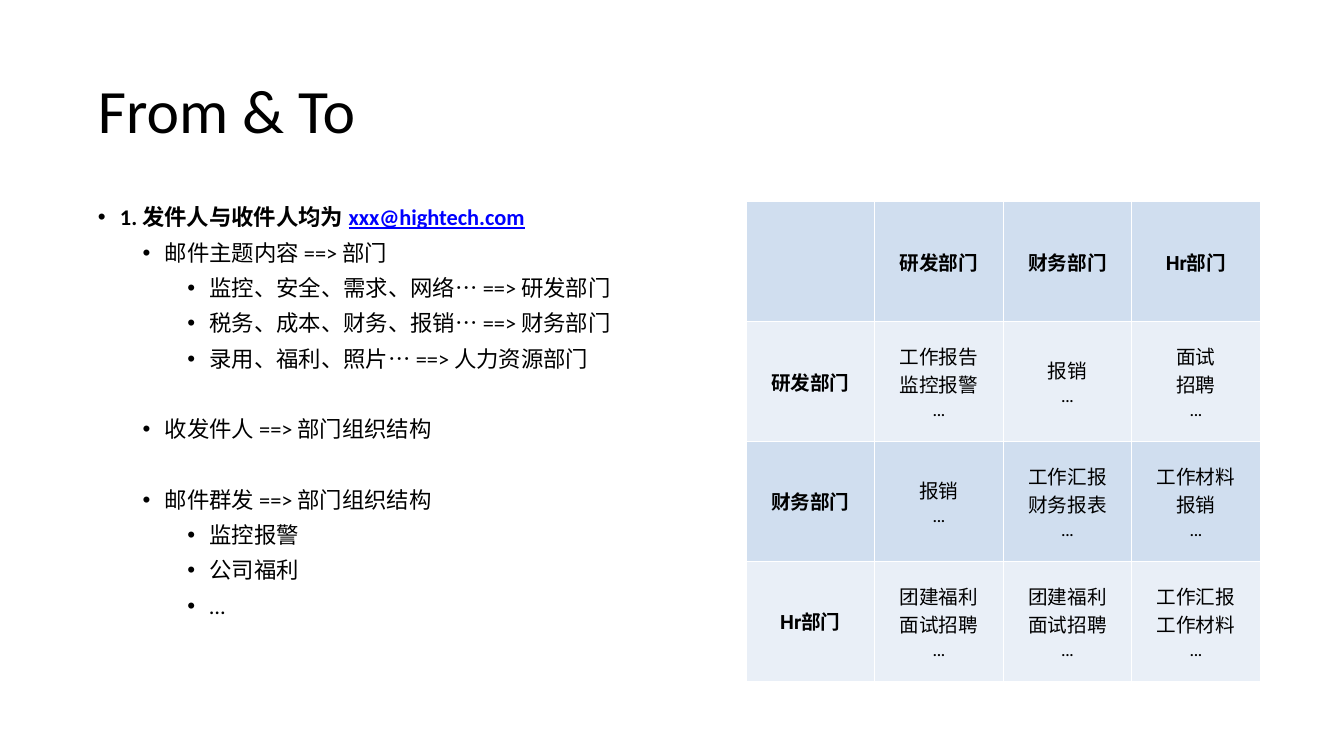
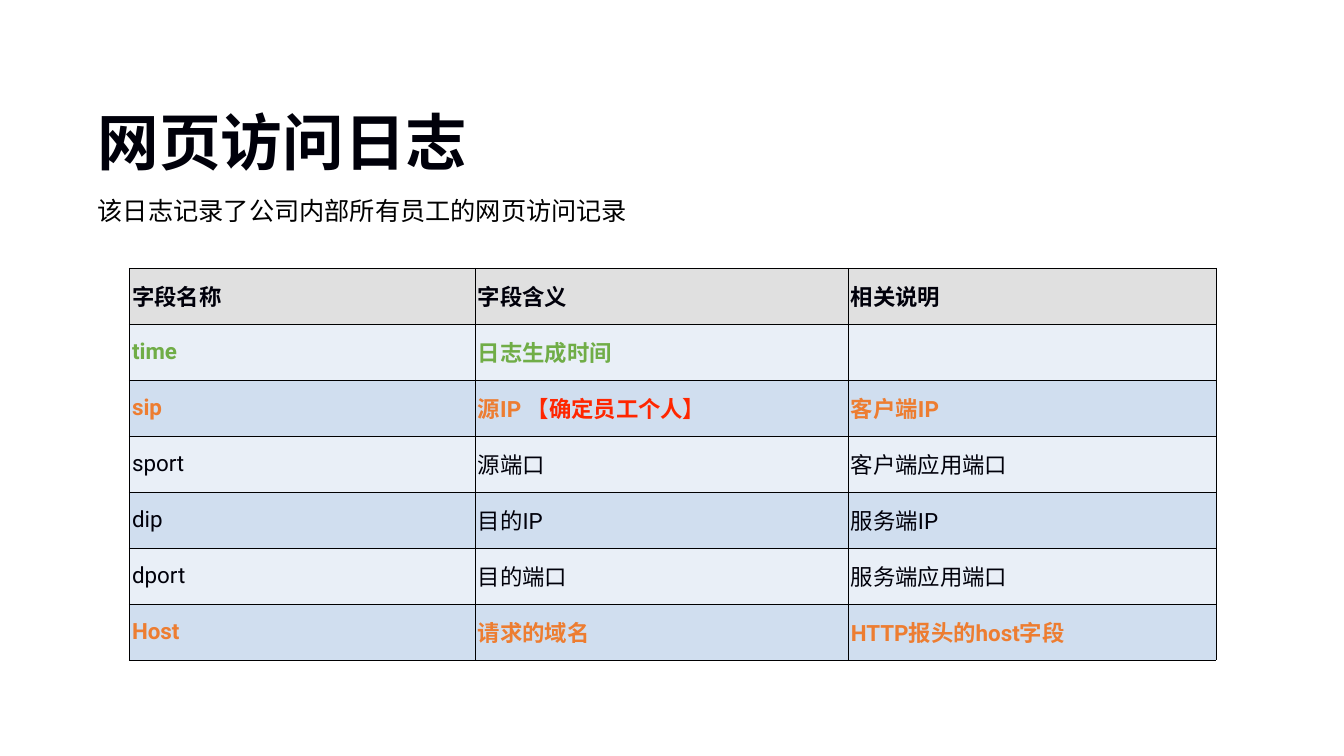
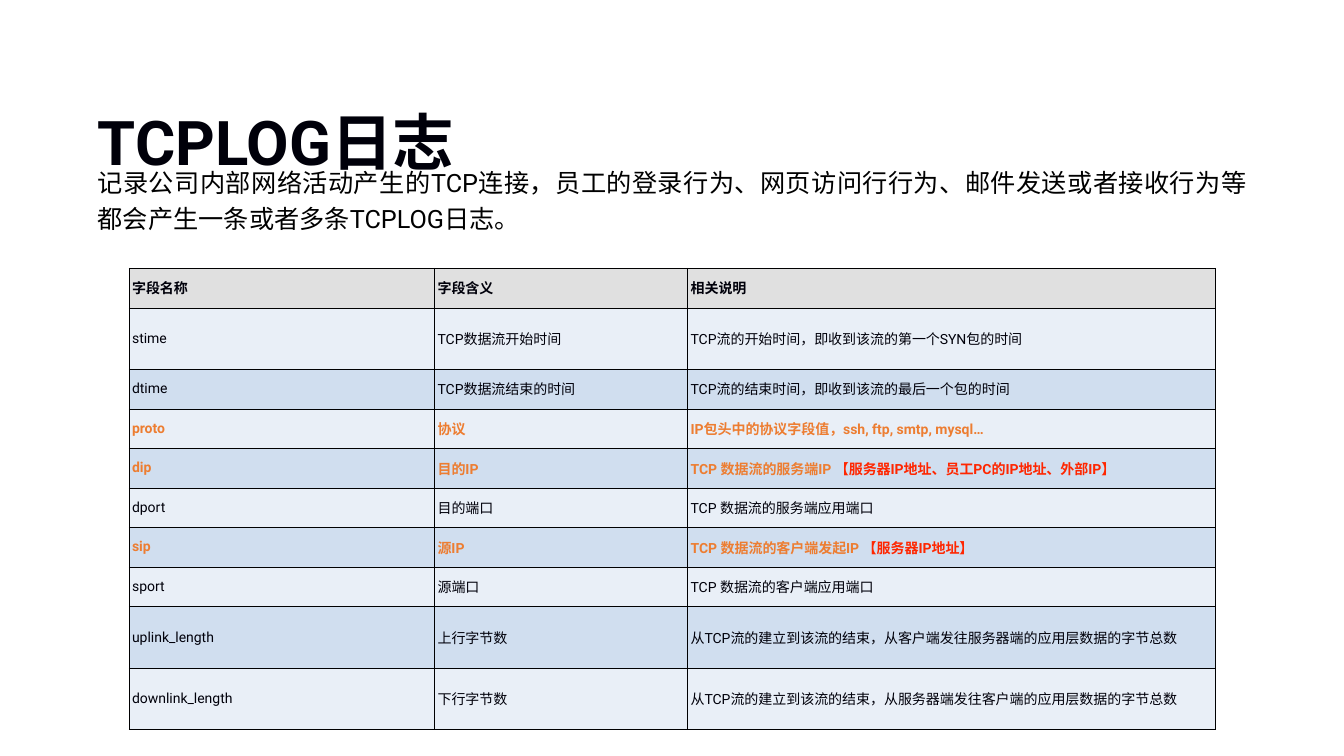
from dataclasses import dataclass

from lxml.etree import SubElement
from pptx import Presentation
from pptx.dml.color import RGBColor
from pptx.enum.text import MSO_ANCHOR as Anchor, PP_ALIGN as Align
from pptx.oxml.ns import qn
from pptx.util import Pt

PX = 9144  # EMU per px, 100 px to the inch


@dataclass(frozen=True)
class Theme:
    black: str = "000000"
    ink: str = "00000A"
    link: str = "0000FF"
    green: str = "70AD47"
    orange: str = "ED7D31"
    red: str = "FF2600"
    white: str = "FFFFFF"
    grid: str = "000001"
    header: str = "E0E0E0"
    bands: tuple = ("D0DEEF", "E9EFF7")
    plain_font: str = "Calibri"
    log_font: str = "Roboto"
    title_size: int = 44
    lead_size: int = 18
    list_size: int = 16
    matrix_size: int = 14


THEME = Theme()

# Shared frames: left, top, width, height in px
TITLE_FRAME = (92, 40, 1150, 145)
BODY_LEFT, BODY_WIDTH, BODY_HEIGHT = 92, 1150, 476
MATRIX_FRAME = (740, 200, 510, 476)
LOG_LEFT, LOG_TOP = 128, 266

# Row styles of the log tables: colour, bold
ROW_STYLES = {
    "head": (THEME.ink, True),
    "plain": (THEME.ink, False),
    "time": (THEME.green, True),
    "key": (THEME.orange, True),
}

# Content: level, text, whether a wide gap comes before
MAIL_TITLE = "From & To"
MAIL_ADDRESS = "xxx@hightech.com"
MAIL_RULES = [
    (0, "1. 发件人与收件人均为 ", False),
    (1, "邮件主题内容 ==> 部门", False),
    (2, "监控、安全、需求、网络… ==> 研发部门", False),
    (2, "税务、成本、财务、报销… ==> 财务部门", False),
    (2, "录用、福利、照片… ==> 人力资源部门", False),
    (1, "收发件人 ==> 部门组织结构", True),
    (1, "邮件群发 ==> 部门组织结构", True),
    (2, "监控报警", False),
    (2, "公司福利", False),
    (2, "…", False),
]
DEPARTMENTS = ["研发部门", "财务部门", "Hr部门"]
MAIL_TOPICS = [
    [("工作报告", "监控报警"), ("报销",), ("面试", "招聘")],
    [("报销",), ("工作汇报", "财务报表"), ("工作材料", "报销")],
    [("团建福利", "面试招聘"), ("团建福利", "面试招聘"), ("工作汇报", "工作材料")],
]

LOG_HEAD = ("head", "字段名称", "字段含义", "相关说明")
LOGS = [
    {
        "title": "网页访问日志",
        "lead": "该日志记录了公司内部所有员工的网页访问记录",
        "lead_top": 183,
        "size": 16,
        "widths": [343, 370, 365],
        "height": 389,
        "tall_rows": {},
        "rows": [
            LOG_HEAD,
            ("time", "time", "日志生成时间", ""),
            ("key", "sip", "源IP 【确定员工个人】", "客户端IP"),
            ("plain", "sport", "源端口", "客户端应用端口"),
            ("plain", "dip", "目的IP", "服务端IP"),
            ("plain", "dport", "目的端口", "服务端应用端口"),
            ("key", "Host", "请求的域名", "HTTP报头的host字段"),
        ],
    },
    {
        "title": "TCPLOG日志",
        "lead": "记录公司内部网络活动产生的TCP连接，员工的登录行为、网页访问行行为、"
                "邮件发送或者接收行为等都会产生一条或者多条TCPLOG日志。",
        "lead_top": 155,
        "size": 10,
        "widths": [303, 251, 523],
        "height": 458,
        "tall_rows": {1: 61, 8: 61, 9: 61},
        "rows": [
            LOG_HEAD,
            ("plain", "stime", "TCP数据流开始时间",
             "TCP流的开始时间，即收到该流的第一个SYN包的时间"),
            ("plain", "dtime", "TCP数据流结束的时间",
             "TCP流的结束时间，即收到该流的最后一个包的时间"),
            ("key", "proto", "协议", "IP包头中的协议字段值，ssh, ftp, smtp, mysql…"),
            ("key", "dip", "目的IP",
             "TCP 数据流的服务端IP 【服务器IP地址、员工PC的IP地址、外部IP】"),
            ("plain", "dport", "目的端口", "TCP 数据流的服务端应用端口"),
            ("key", "sip", "源IP", "TCP 数据流的客户端发起IP 【服务器IP地址】"),
            ("plain", "sport", "源端口", "TCP 数据流的客户端应用端口"),
            ("plain", "uplink_length", "上行字节数",
             "从TCP流的建立到该流的结束，从客户端发往服务器端的应用层数据的字节总数"),
            ("plain", "downlink_length", "下行字节数",
             "从TCP流的建立到该流的结束，从服务器端发往客户端的应用层数据的字节总数"),
        ],
    },
]


def px(length):
    return round(length * PX)


# Text
def add_span(para, text, font, size, color, bold=False, underline=False):
    span = para.add_run()
    span.text = text
    span.font.name = font
    span.font.size = Pt(size)
    span.font.bold = bold
    span.font.underline = underline
    span.font.color.rgb = RGBColor.from_string(color)


def set_margins(target, margin):
    target.margin_left = target.margin_right = px(margin)
    target.margin_top = target.margin_bottom = px(margin)


def add_box(page, frame, anchor=Anchor.TOP):
    box = page.shapes.add_textbox(*map(px, frame)).text_frame
    box.word_wrap = True
    box.vertical_anchor = anchor
    set_margins(box, 5)
    return box


def add_title(page, text, font, color, bold, spacing, align):
    para = add_box(page, TITLE_FRAME, Anchor.MIDDLE).paragraphs[0]
    para.line_spacing = spacing
    para.alignment = align
    add_span(para, text, font, THEME.title_size, color, bold)


def next_para(frame, index):
    return frame.add_paragraph() if index else frame.paragraphs[0]


def add_bullet(para, level):
    props = para._p.get_or_add_pPr()
    props.set("marL", str(px(22 + 44.5 * level)))
    props.set("indent", str(px(-22)))
    SubElement(props, qn("a:buFont")).set("typeface", "Arial")
    SubElement(props, qn("a:buChar")).set("char", "•")


# Tables
def set_borders(cell, color, width):
    props = cell._tc.get_or_add_tcPr()
    for index, side in enumerate(("lnL", "lnR", "lnT", "lnB")):
        line = SubElement(props, qn(f"a:{side}"))
        line.set("w", str(Pt(width)))
        fill = SubElement(line, qn("a:solidFill"))
        SubElement(fill, qn("a:srgbClr")).set("val", color)
        props.insert(index, line)


def add_grid(page, left, top, widths, heights):
    frame = page.shapes.add_table(len(heights), len(widths), px(left), px(top),
                                  px(sum(widths)), px(sum(heights)))
    table = frame.table
    table.first_row = table.horz_banding = False
    for column, width in zip(table.columns, widths):
        column.width = px(width)
    for row, height in zip(table.rows, heights):
        row.height = px(height)
    return table


def style_cell(cell, fill, border, border_width, margin):
    cell.fill.solid()
    cell.fill.fore_color.rgb = RGBColor.from_string(fill)
    cell.vertical_anchor = Anchor.MIDDLE
    set_margins(cell, margin)
    set_borders(cell, border, border_width)


def add_matrix(page):
    left, top, width, height = MATRIX_FRAME
    rows = [[()] + [(name,) for name in DEPARTMENTS]]
    for name, topics in zip(DEPARTMENTS, MAIL_TOPICS):
        rows.append([(name,)] + [topic + ("…",) for topic in topics])
    count = len(rows)
    table = add_grid(page, left, top, [width / count] * count, [height / count] * count)
    for r, row in enumerate(rows):
        for c, lines in enumerate(row):
            cell = table.cell(r, c)
            style_cell(cell, THEME.bands[r % 2], THEME.white, 1, 0)
            for index, text in enumerate(lines):
                para = next_para(cell.text_frame, index)
                para.alignment = Align.CENTER
                add_span(para, text, THEME.log_font, THEME.matrix_size,
                         THEME.black, r == 0 or c == 0)


def add_log_table(page, log):
    rows, tall = log["rows"], log["tall_rows"]
    short = (log["height"] - sum(tall.values())) / (len(rows) - len(tall))
    heights = [tall.get(r, short) for r in range(len(rows))]
    table = add_grid(page, LOG_LEFT, LOG_TOP, log["widths"], heights)
    for r, (style, *texts) in enumerate(rows):
        color, bold = ROW_STYLES[style]
        fill = THEME.header if style == "head" else THEME.bands[r % 2]
        for c, text in enumerate(texts):
            cell = table.cell(r, c)
            style_cell(cell, fill, THEME.grid, 0.25, 3)
            para = cell.text_frame.paragraphs[0]
            para.alignment = Align.JUSTIFY
            # A bracketed remark is set in red
            label, bracket, remark = text.partition("【")
            for part, part_color in ((label, color), (bracket + remark, THEME.red)):
                if part:
                    add_span(para, part, THEME.log_font, log["size"], part_color, bold)


# Pages
def build_mail_page(page):
    add_title(page, MAIL_TITLE, THEME.plain_font, THEME.black, False, 0.9, Align.LEFT)
    box = add_box(page, (BODY_LEFT, 200, BODY_WIDTH, BODY_HEIGHT))
    for index, (level, text, wide_gap) in enumerate(MAIL_RULES):
        para = next_para(box, index)
        add_bullet(para, level)
        para.level = level
        para.line_spacing = 0.9
        if index:
            para.space_before = Pt(33 if wide_gap else 8)
        add_span(para, text, THEME.plain_font, THEME.list_size, THEME.black, level == 0)
        if level == 0:
            add_span(para, MAIL_ADDRESS, THEME.plain_font, THEME.list_size,
                     THEME.link, True, True)
    add_matrix(page)


def build_log_page(page, log):
    add_title(page, log["title"], THEME.log_font, THEME.ink, True, 1.73, Align.JUSTIFY)
    lead = add_box(page, (BODY_LEFT, log["lead_top"], BODY_WIDTH, BODY_HEIGHT)).paragraphs[0]
    lead.alignment = Align.JUSTIFY
    lead.line_spacing = 1.2
    add_span(lead, log["lead"], THEME.log_font, THEME.lead_size, THEME.black)
    add_log_table(page, log)


def main():
    deck = Presentation()
    deck.slide_width, deck.slide_height = px(1333), px(750)
    blank = deck.slide_layouts[6]
    build_mail_page(deck.slides.add_slide(blank))
    for log in LOGS:
        build_log_page(deck.slides.add_slide(blank), log)
    deck.save("out.pptx")


if __name__ == "__main__":
    main()
